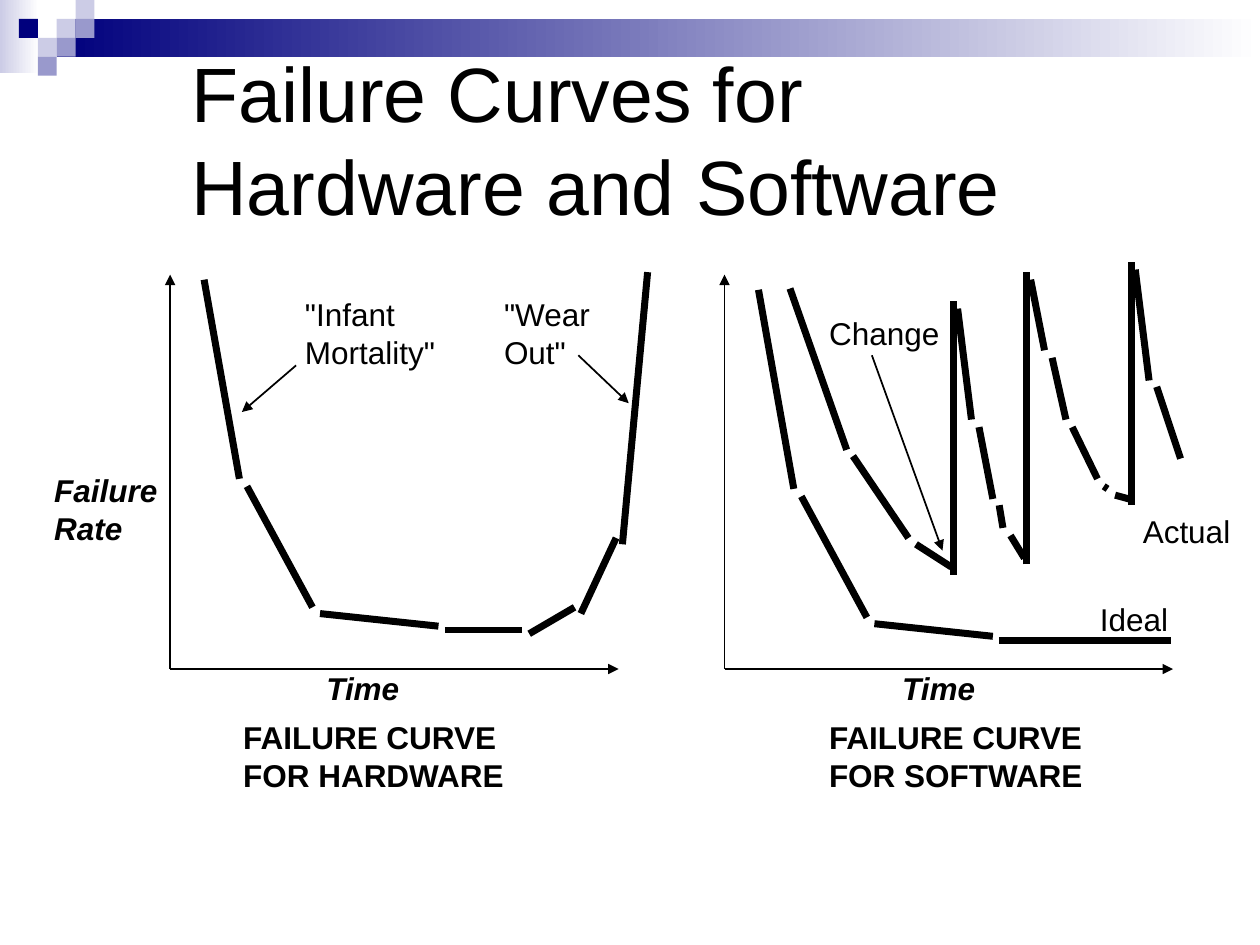
from typing import NamedTuple

from lxml.etree import SubElement
from pptx import Presentation
from pptx.dml.color import RGBColor
from pptx.enum.shapes import MSO_CONNECTOR, MSO_SHAPE
from pptx.enum.text import MSO_ANCHOR, MSO_AUTO_SIZE
from pptx.oxml.ns import qn
from pptx.util import Inches, Pt

BLACK, WHITE = "000000", "FFFFFF"
NAVY, LAVENDER, PERIWINKLE = "00007D", "CCCCE6", "9999CC"
FONT = "Arial"
TILE = 0.15


class Segment(NamedTuple):
    x1: float
    y1: float
    x2: float
    y2: float

    def shifted(self, dx: float, dy: float) -> "Segment":
        return Segment(self.x1 + dx, self.y1 + dy, self.x2 + dx, self.y2 + dy)


class Label(NamedTuple):
    left: float
    top: float
    width: float
    lines: tuple[str, ...]
    bold: bool = False
    italic: bool = False


class Band(NamedTuple):
    left: float
    top: float
    width: float
    height: float
    start: str
    end: str


def color(value: str) -> RGBColor:
    return RGBColor.from_string(value)


def add_block(slide, left: float, top: float, width: float, height: float):
    block = slide.shapes.add_shape(
        MSO_SHAPE.RECTANGLE, Inches(left), Inches(top), Inches(width), Inches(height)
    )
    block.shadow.inherit = False
    block.line.fill.background()
    return block


def add_tile(slide, left: float, top: float, fill: str) -> None:
    tile = add_block(slide, left, top, TILE, TILE)
    tile.fill.solid()
    tile.fill.fore_color.rgb = color(fill)


def add_band(slide, band: Band) -> None:
    block = add_block(slide, band.left, band.top, band.width, band.height)
    block.fill.gradient()
    block.fill.gradient_angle = 0
    for stop, value in zip(block.fill.gradient_stops, (band.start, band.end)):
        stop.color.rgb = color(value)


def add_segment(slide, segment: Segment, weight: float = 4, arrow: bool = False) -> None:
    stroke = slide.shapes.add_connector(
        MSO_CONNECTOR.STRAIGHT, *(Inches(value) for value in segment)
    )
    stroke.line.width = Pt(weight)
    stroke.line.color.rgb = color(BLACK)
    if arrow:
        SubElement(stroke.line._get_or_add_ln(), qn("a:tailEnd"), type="triangle")
    SubElement(stroke._element.spPr, qn("a:effectLst"))


def set_font(paragraph, size: float, bold: bool = False, italic: bool = False) -> None:
    font = paragraph.font
    font.name, font.size, font.bold, font.italic = FONT, Pt(size), bold, italic
    font.color.rgb = color(BLACK)


def add_label(slide, label: Label) -> None:
    height = 0.04 + 0.3 * len(label.lines)
    box = slide.shapes.add_textbox(
        Inches(label.left), Inches(label.top), Inches(label.width), Inches(height)
    )
    frame = box.text_frame
    frame.word_wrap = False
    frame.auto_size = MSO_AUTO_SIZE.SHAPE_TO_FIT_TEXT
    frame.margin_left = frame.margin_right = Inches(0.05)
    frame.margin_top = frame.margin_bottom = Inches(0.02)
    frame.text = "\n".join(label.lines)
    for paragraph in frame.paragraphs:
        set_font(paragraph, 18, label.bold, label.italic)


def add_title(slide, text: str) -> None:
    box = slide.shapes.add_textbox(Inches(1.42), Inches(0.58), Inches(7.57), Inches(1.3))
    frame = box.text_frame
    frame.word_wrap = True
    frame.vertical_anchor = MSO_ANCHOR.BOTTOM
    frame.paragraphs[0].text = text
    set_font(frame.paragraphs[0], 44)


BANDS = [
    Band(0, 0, 0.31, 0.58, LAVENDER, WHITE),
    Band(0.45, 0.15, 9.55, 0.3, NAVY, WHITE),
]
# Column and row of each tile in the corner pattern
TILES = [
    (3, 1, LAVENDER), (4, 0, LAVENDER), (4, 1, PERIWINKLE), (2, 2, LAVENDER),
    (1, 1, NAVY), (3, 2, PERIWINKLE), (2, 3, PERIWINKLE),
]

AXIS_ORIGINS = [1.35, 5.75]
AXIS_BASE, AXIS_TOP, AXIS_LENGTH = 5.31, 2.18, 3.56

# Both the hardware curve and the ideal software curve begin with this fall
EARLY_FALL = [
    Segment(1.62, 2.22, 1.9, 3.8),
    Segment(1.96, 3.86, 2.48, 4.82),
    Segment(2.54, 4.87, 3.48, 4.97),
]
HARDWARE = EARLY_FALL + [
    Segment(3.53, 5, 4.14, 5),
    Segment(4.2, 5.03, 4.56, 4.82),
    Segment(4.61, 4.87, 4.89, 4.27),
    Segment(4.94, 4.32, 5.14, 2.16),
]
IDEAL = [segment.shifted(4.4, 0.08) for segment in EARLY_FALL] + [
    Segment(7.93, 5.08, 9.29, 5.08),
]
# Each vertical segment is a change that raises the failure rate
ACTUAL = [
    Segment(6.27, 2.29, 6.72, 3.57),
    Segment(6.77, 3.62, 7.21, 4.27),
    Segment(7.27, 4.32, 7.55, 4.5),
    Segment(7.57, 4.56, 7.57, 2.39),
    Segment(7.6, 2.45, 7.71, 3.33),
    Segment(7.77, 3.39, 7.88, 3.96),
    Segment(7.93, 4.01, 7.96, 4.19),
    Segment(8.02, 4.25, 8.13, 4.43),
    Segment(8.15, 4.48, 8.15, 2.16),
    Segment(8.18, 2.22, 8.29, 2.78),
    Segment(8.35, 2.84, 8.46, 3.33),
    Segment(8.51, 3.39, 8.71, 3.8),
    Segment(8.76, 3.86, 8.79, 3.88),
    Segment(8.85, 3.93, 8.96, 3.96),
    Segment(8.98, 4.01, 8.98, 2.08),
    Segment(9.01, 2.14, 9.12, 3.02),
    Segment(9.18, 3.07, 9.37, 3.64),
]
POINTERS = [
    Segment(2.35, 2.9, 1.92, 3.27),
    Segment(4.59, 2.82, 4.99, 3.2),
    Segment(6.92, 2.82, 7.48, 4.37),
]
LABELS = [
    Label(2.54, 5.29, 0.69, ("Time",), bold=True, italic=True),
    Label(7.11, 5.29, 0.69, ("Time",), bold=True, italic=True),
    Label(0.38, 3.72, 0.92, ("Failure", "Rate"), bold=True, italic=True),
    Label(2.37, 2.32, 1.14, ('"Infant', 'Mortality"')),
    Label(3.95, 2.32, 0.79, ('"Wear', 'Out"')),
    Label(8.68, 4.74, 0.65, ("Ideal",)),
    Label(9.02, 4.04, 0.8, ("Actual",)),
    Label(6.53, 2.47, 0.98, ("Change",)),
    Label(1.88, 5.68, 2.19, ("FAILURE CURVE", "FOR HARDWARE"), bold=True),
    Label(6.53, 5.68, 2.13, ("FAILURE CURVE", "FOR SOFTWARE"), bold=True),
]


def main() -> None:
    deck = Presentation()
    deck.slide_width, deck.slide_height = Inches(10), Inches(7.5)
    slide = deck.slides.add_slide(deck.slide_layouts[6])

    # Header decoration and title
    for band in BANDS:
        add_band(slide, band)
    for column, row, fill in TILES:
        add_tile(slide, column * TILE, row * TILE, fill)
    add_title(slide, "Failure Curves for\vHardware and Software")

    # Axes
    for origin in AXIS_ORIGINS:
        add_segment(slide, Segment(origin, AXIS_BASE, origin + AXIS_LENGTH, AXIS_BASE), 1, True)
        add_segment(slide, Segment(origin, AXIS_BASE, origin, AXIS_TOP), 1, True)

    # Curves, labels and pointers
    for segment in HARDWARE + IDEAL + ACTUAL:
        add_segment(slide, segment)
    for label in LABELS:
        add_label(slide, label)
    for pointer in POINTERS:
        add_segment(slide, pointer, 1, True)

    deck.save("out.pptx")


if __name__ == "__main__":
    main()
